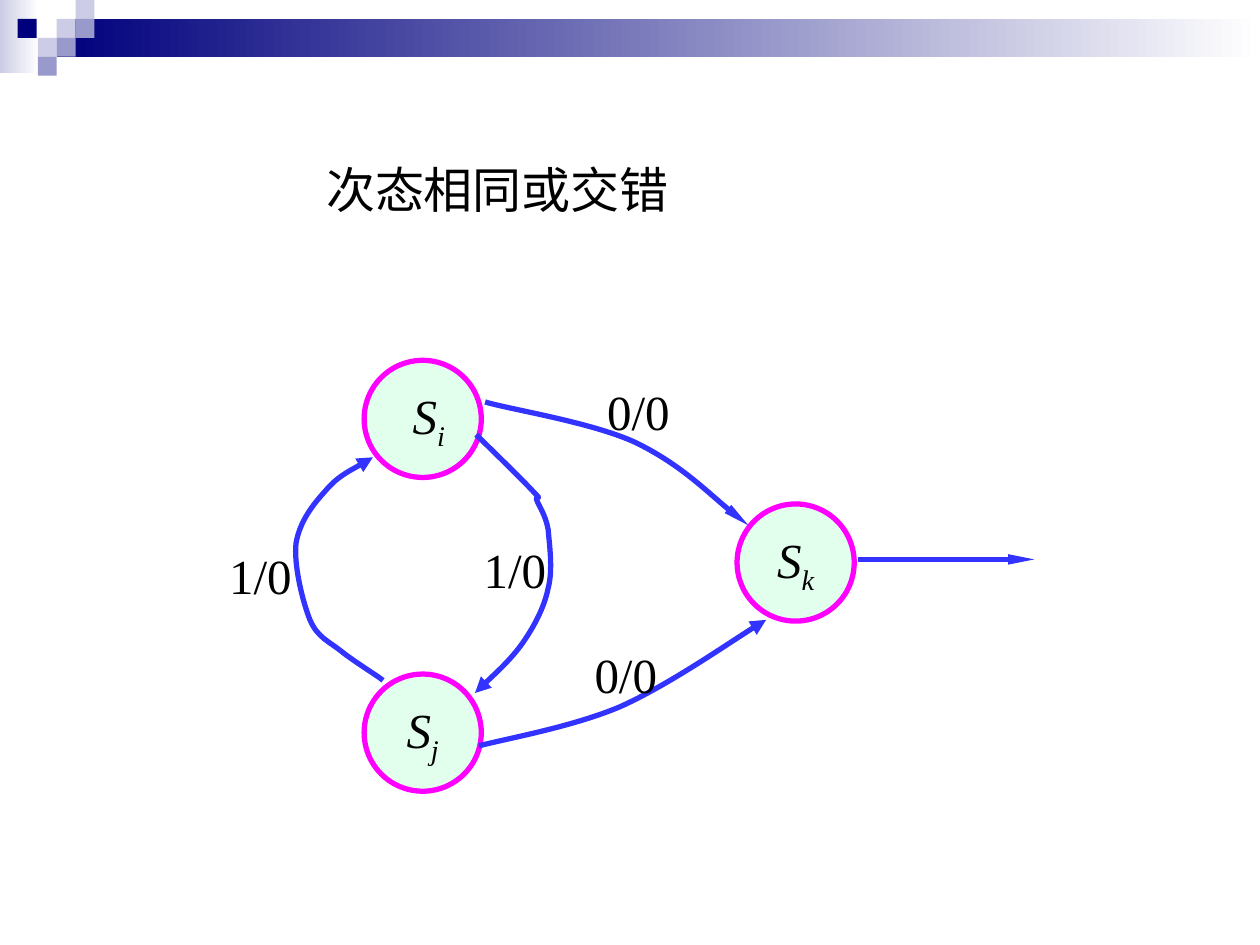
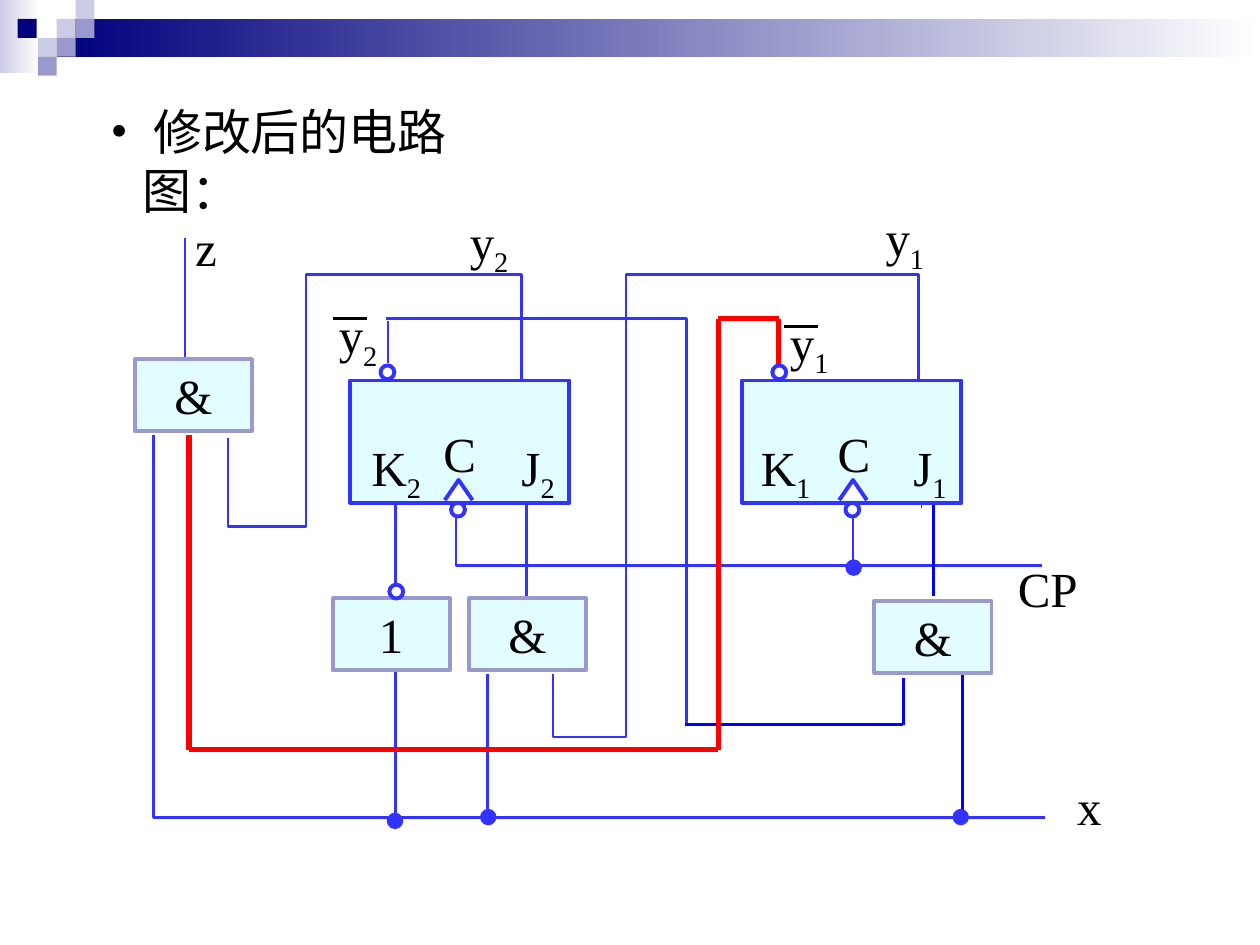
from dataclasses import dataclass

from lxml.etree import SubElement
from pptx import Presentation
from pptx.dml.color import RGBColor
from pptx.enum.shapes import MSO_CONNECTOR, MSO_SHAPE
from pptx.enum.text import MSO_ANCHOR, MSO_AUTO_SIZE, PP_ALIGN
from pptx.oxml.ns import qn
from pptx.util import Pt

PX = 9144  # EMU per px, 100 px to the inch
FONT, TEXT_SIZE = "Times New Roman", 28
WRAP_SLACK = 2  # keeps one-line labels from breaking
BLACK, WHITE = "000000", "FFFFFF"
NAVY, LILAC, PALE_LILAC = "00007D", "9999CC", "CCCCE6"
BLUE, PURE_BLUE, RED, MAGENTA = "3333FF", "0000FF", "FF0000", "FF00FF"
STATE_FILL, GATE_FILL = "E2FEED", "E1FDFF"

Point = tuple[int, int]


@dataclass(frozen=True)
class Label:
    text: str
    left: int
    top: int
    width: int
    wrap: bool = False
    barred: bool = False


@dataclass(frozen=True)
class State:
    text: str
    left: int
    top: int


@dataclass(frozen=True)
class Transition:
    """Cubic curve: a start point, then two controls and an end per segment."""
    points: tuple[Point, ...]
    slim_head: bool = False


@dataclass(frozen=True)
class Wire:
    points: tuple[Point, ...]
    color: str = BLUE
    width: float = 1.5


@dataclass(frozen=True)
class FlipFlop:
    index: int
    left: int
    k_left: int
    clock_x: int


@dataclass(frozen=True)
class Gate:
    symbol: str
    left: int
    top: int


BAND_SQUARES = (
    (45, 15, PALE_LILAC), (60, 0, PALE_LILAC), (60, 15, LILAC), (30, 30, PALE_LILAC),
    (14, 15, NAVY), (45, 30, LILAC), (30, 45, LILAC),
)

STATES = (State(" S_i", 289, 286), State("S_j", 289, 535), State("S_k", 585, 400))
TRANSITIONS = (
    Transition(((380, 592), (403, 586), (454, 577), (492, 561),
                (530, 544), (589, 503), (608, 492))),
    Transition(((304, 540), (299, 536), (281, 525), (271, 517),
                (261, 509), (252, 506), (246, 492), (240, 477), (233, 448), (235, 431),
                (238, 414), (248, 401), (258, 390), (268, 378), (288, 368), (296, 363))),
    Transition(((378, 345), (386, 353), (416, 382), (424, 391),
                (432, 399), (424, 392), (426, 397), (428, 402), (433, 409), (435, 420),
                (436, 432), (439, 452), (435, 467), (432, 482), (424, 497), (415, 510),
                (405, 524), (385, 542), (377, 550))),
    Transition(((385, 319), (405, 325), (469, 335), (504, 351),
                (539, 368), (575, 403), (594, 417)), slim_head=True),
)
TRANSITION_LABELS = (
    Label("0/0", 462, 507, 69), Label("1/0", 172, 428, 69),
    Label("1/0", 374, 423, 69), Label("0/0", 472, 298, 69),
)

FEEDBACK_ROUTE = ((150, 345), (150, 595), (570, 595), (570, 253), (618, 253), (618, 290))
J1_INPUT_ROUTE = ((544, 575), (717, 575), (717, 538))
WIRES = (
    Wire(((147, 189), (147, 285))),
    Wire(((314, 399), (314, 652))),
    Wire(((387, 535), (387, 652))),
    Wire(((418, 399), (418, 474))),
    Wire(((677, 410), (677, 452))),
    Wire(((731, 402), (732, 402))),
    Wire(((308, 288), (308, 255)), width=0.75),
    Wire(((181, 348), (181, 418), (243, 418), (243, 218), (414, 218), (414, 301))),
    Wire(((122, 345), (122, 649), (829, 649))),
    Wire(((362, 410), (362, 449), (827, 449))),
    Wire(((439, 535), (439, 585), (497, 585), (497, 218), (729, 218), (729, 304))),
    Wire(((306, 253), (545, 253), (545, 576))),
    Wire(((741, 398), (741, 473)), PURE_BLUE),
    Wire(((764, 534), (764, 648)), PURE_BLUE),
    *(Wire(leg, PURE_BLUE) for leg in zip(J1_INPUT_ROUTE, J1_INPUT_ROUTE[1:])),
    *(Wire(leg, RED, 3) for leg in zip(FEEDBACK_ROUTE, FEEDBACK_ROUTE[1:])),
)
FLIP_FLOPS = (FlipFlop(2, 278, 285, 364), FlipFlop(1, 589, 594, 677))
GATES = (Gate("&", 107, 285), Gate("1", 264, 475), Gate("&", 372, 475), Gate("&", 694, 477))
JUNCTIONS = ((382, 643), (308, 646), (672, 445), (757, 643))
SIGNAL_LABELS = (
    Label("z", 145, 168, 37), Label("y_2", 363, 163, 55, wrap=True),
    Label("y_1", 693, 160, 53, wrap=True), Label("y_2", 259, 237, 50, barred=True),
    Label("y_1", 617, 243, 50, barred=True), Label("CP", 798, 438, 67),
    Label("x", 845, 611, 48, wrap=True),
)


def px(*lengths: int) -> list[int]:
    return [length * PX for length in lengths]


def rgb(value: str) -> RGBColor:
    return RGBColor.from_string(value)


def style_line(shape, color: str, width: float) -> None:
    shape.line.color.rgb = rgb(color)
    shape.line.width = Pt(width)


def add_block(slide, kind, left: int, top: int, width: int, height: int, fill: str,
              line: str | None = None, line_width: float = 2.25, fade: bool = False):
    """Preset shape; fade blends the fill into white towards the right."""
    block = slide.shapes.add_shape(kind, *px(left, top, width, height))
    block.shadow.inherit = False
    if fade:
        block.fill.gradient()
        block.fill.gradient_angle = 0
        for stop, color in zip(block.fill.gradient_stops, (fill, WHITE)):
            stop.color.rgb = rgb(color)
    else:
        block.fill.solid()
        block.fill.fore_color.rgb = rgb(fill)
    if line:
        style_line(block, line, line_width)
    else:
        block.line.fill.background()
    return block


def write(shape, text: str, *, align=PP_ALIGN.LEFT, anchor=MSO_ANCHOR.TOP,
          italic: bool = False, wrap: bool = False, grow: bool = False,
          bullet: str = "", right_inset: int = 10) -> None:
    """Write text into a shape; what follows an underscore becomes a subscript."""
    frame = shape.text_frame
    frame.word_wrap = wrap
    frame.vertical_anchor = anchor
    frame.margin_right = right_inset * PX
    frame.auto_size = MSO_AUTO_SIZE.SHAPE_TO_FIT_TEXT if grow else MSO_AUTO_SIZE.NONE
    paragraph = frame.paragraphs[0]
    paragraph.alignment = align
    if bullet:
        properties = paragraph._p.get_or_add_pPr()
        properties.set("marL", str(25 * PX))
        properties.set("indent", str(-25 * PX))
        SubElement(properties, qn("a:buFont")).set("typeface", FONT)
        SubElement(properties, qn("a:buChar")).set("char", bullet)
    base, _, subscript = text.partition("_")
    for part, baseline in ((base, 0), (subscript, -25000)):
        if not part:
            continue
        run = paragraph.add_run()
        run.text = part
        run.font.name = FONT
        run.font.size = Pt(TEXT_SIZE)
        run.font.italic = italic
        run.font.color.rgb = rgb(BLACK)
        if baseline:
            run._r.get_or_add_rPr().set("baseline", str(baseline))


def add_label(slide, label: Label, **text_format) -> None:
    height = 63 if "_" in label.text else 57
    width = label.width if label.wrap else label.width + WRAP_SLACK
    box = slide.shapes.add_textbox(*px(label.left, label.top, width, height))
    write(box, label.text, wrap=label.wrap, grow=True, **text_format)
    if label.barred:
        start = (label.left + 5, label.top + 16)
        add_wire(slide, Wire((start, (start[0] + 27, start[1])), BLACK))


def add_outline(slide, points: tuple[Point, ...], color: str, width: float,
                fill: str | None = None):
    """Open freeform through the points."""
    builder = slide.shapes.build_freeform(*points[0], scale=PX)
    builder.add_line_segments(points[1:], close=False)
    outline = builder.convert_to_shape()
    outline.shadow.inherit = False
    if fill:
        outline.fill.solid()
        outline.fill.fore_color.rgb = rgb(fill)
    else:
        outline.fill.background()
    style_line(outline, color, width)
    return outline


def add_straight(slide, start: Point, end: Point, color: str, width: float):
    line = slide.shapes.add_connector(MSO_CONNECTOR.STRAIGHT, *px(*start, *end))
    style_line(line, color, width)
    SubElement(line._element.spPr, qn("a:effectLst"))
    return line


def add_wire(slide, wire: Wire) -> None:
    if len(wire.points) == 2:
        add_straight(slide, *wire.points, wire.color, wire.width)
    else:
        add_outline(slide, wire.points, wire.color, wire.width)


def add_arrowhead(shape, slim: bool) -> None:
    head = SubElement(shape._element.spPr.find(qn("a:ln")), qn("a:tailEnd"))
    head.set("type", "triangle")
    head.set("w", "sm" if slim else "med")
    head.set("len", "lg" if slim else "med")


def add_transition(slide, transition: Transition) -> None:
    curve = add_outline(slide, transition.points, BLUE, 3)
    outline = next(curve._element.iter(qn("a:path")))
    segments = outline.findall(qn("a:lnTo"))
    for first in range(0, len(segments), 3):
        bezier = SubElement(outline, qn("a:cubicBezTo"))
        for segment in segments[first:first + 3]:
            bezier.append(segment[0])
            outline.remove(segment)
    add_arrowhead(curve, transition.slim_head)


def add_dot(slide, left: int, top: int, fill: str = WHITE, line_width: float = 2.25) -> None:
    add_block(slide, MSO_SHAPE.OVAL, left, top, 11, 11, fill, BLUE, line_width)


def add_flip_flop(slide, unit: FlipFlop) -> None:
    add_block(slide, MSO_SHAPE.RECTANGLE, unit.left, 302, 174, 97, GATE_FILL, BLUE)
    clock = unit.clock_x
    add_outline(slide, ((clock - 11, 397), (clock, 381), (clock + 11, 397)), BLUE, 2.25, WHITE)
    add_dot(slide, clock - 6, 399)
    add_dot(slide, unit.left + 24, 290)
    add_label(slide, Label(f"K_{unit.index}", unit.k_left, 342, 59))
    add_label(slide, Label("C", clock - 22, 331, 46))
    add_label(slide, Label(f"J_{unit.index}", unit.left + 126, 342, 46))


def add_banded_slide(deck):
    """Blank slide with the fading top band and its squares."""
    slide = deck.slides.add_slide(deck.slide_layouts[6])
    add_block(slide, MSO_SHAPE.RECTANGLE, 0, 0, 31, 58, PALE_LILAC, fade=True)
    add_block(slide, MSO_SHAPE.RECTANGLE, 45, 15, 955, 30, NAVY, fade=True)
    for left, top, color in BAND_SQUARES:
        add_block(slide, MSO_SHAPE.RECTANGLE, left, top, 15, 15, color)
    return slide


def build_state_diagram(deck) -> None:
    slide = add_banded_slide(deck)
    add_label(slide, Label("次态相同或交错", 249, 122, 292))
    for state in STATES:
        circle = add_block(slide, MSO_SHAPE.OVAL, state.left, state.top, 93, 93,
                           STATE_FILL, MAGENTA, 3)
        write(circle, state.text, align=PP_ALIGN.CENTER, anchor=MSO_ANCHOR.MIDDLE, italic=True)
    for transition in TRANSITIONS:
        add_transition(slide, transition)
    add_arrowhead(add_straight(slide, (681, 444), (821, 444), BLUE, 3), slim=True)
    for label in TRANSITION_LABELS:
        add_label(slide, label)


def build_circuit(deck) -> None:
    slide = add_banded_slide(deck)
    add_label(slide, Label(" 修改后的电路图：", 78, 76, 353, wrap=True),
              bullet="•", right_inset=60)
    for wire in WIRES:
        add_wire(slide, wire)
    for unit in FLIP_FLOPS:
        add_flip_flop(slide, unit)
    for gate in GATES:
        body = add_block(slide, MSO_SHAPE.RECTANGLE, gate.left, gate.top, 93, 57,
                         GATE_FILL, LILAC)
        write(body, gate.symbol, align=PP_ALIGN.CENTER, wrap=True)
    add_dot(slide, 309, 464)
    for left, top in JUNCTIONS:
        add_dot(slide, left, top, BLUE, 1.5)
    for label in SIGNAL_LABELS:
        add_label(slide, label)


def main() -> None:
    deck = Presentation()
    deck.slide_width, deck.slide_height = px(1000, 750)
    build_state_diagram(deck)
    build_circuit(deck)
    deck.save("out.pptx")


if __name__ == "__main__":
    main()
